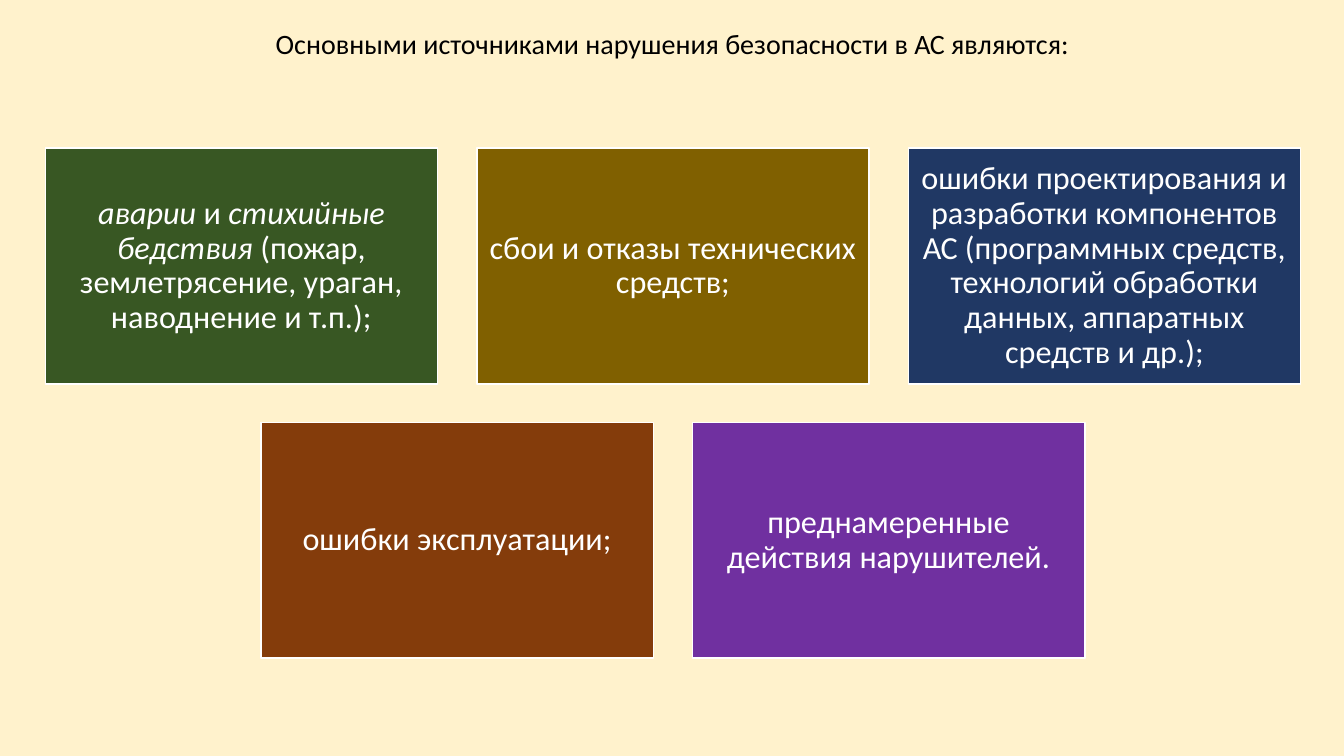
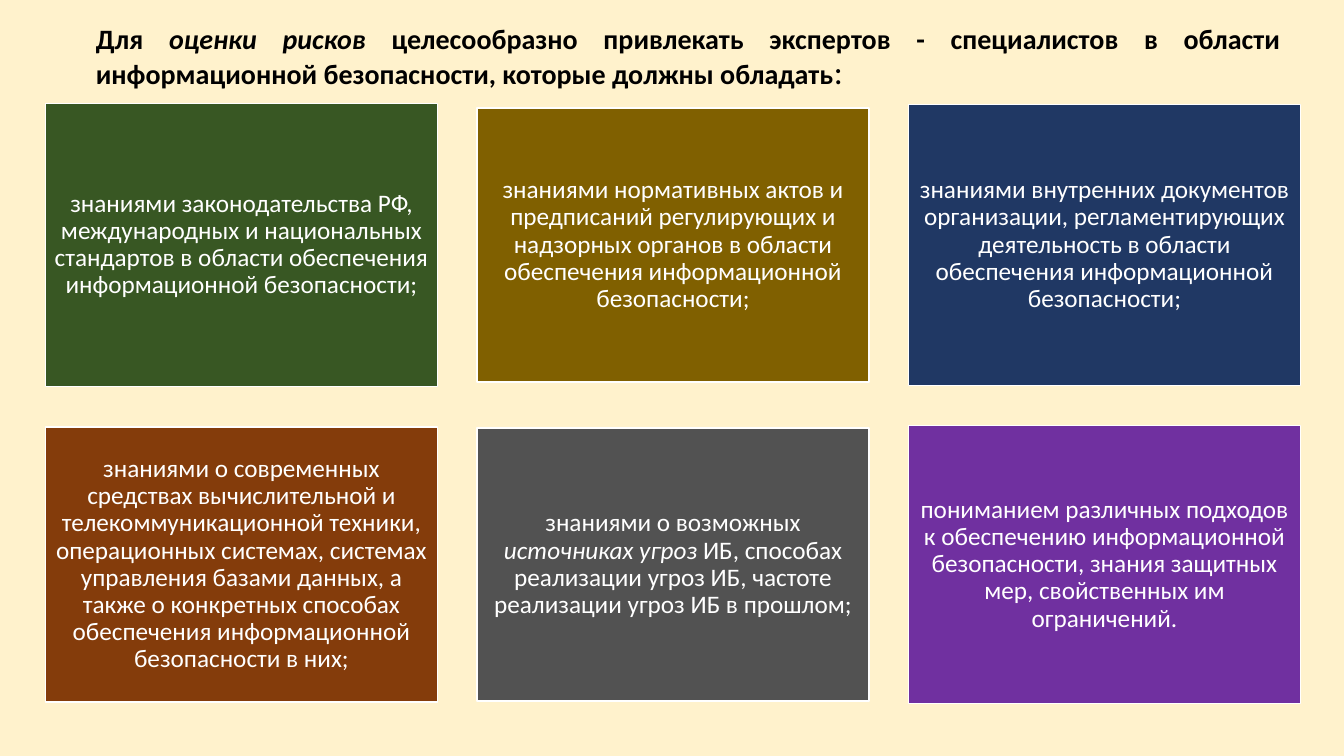
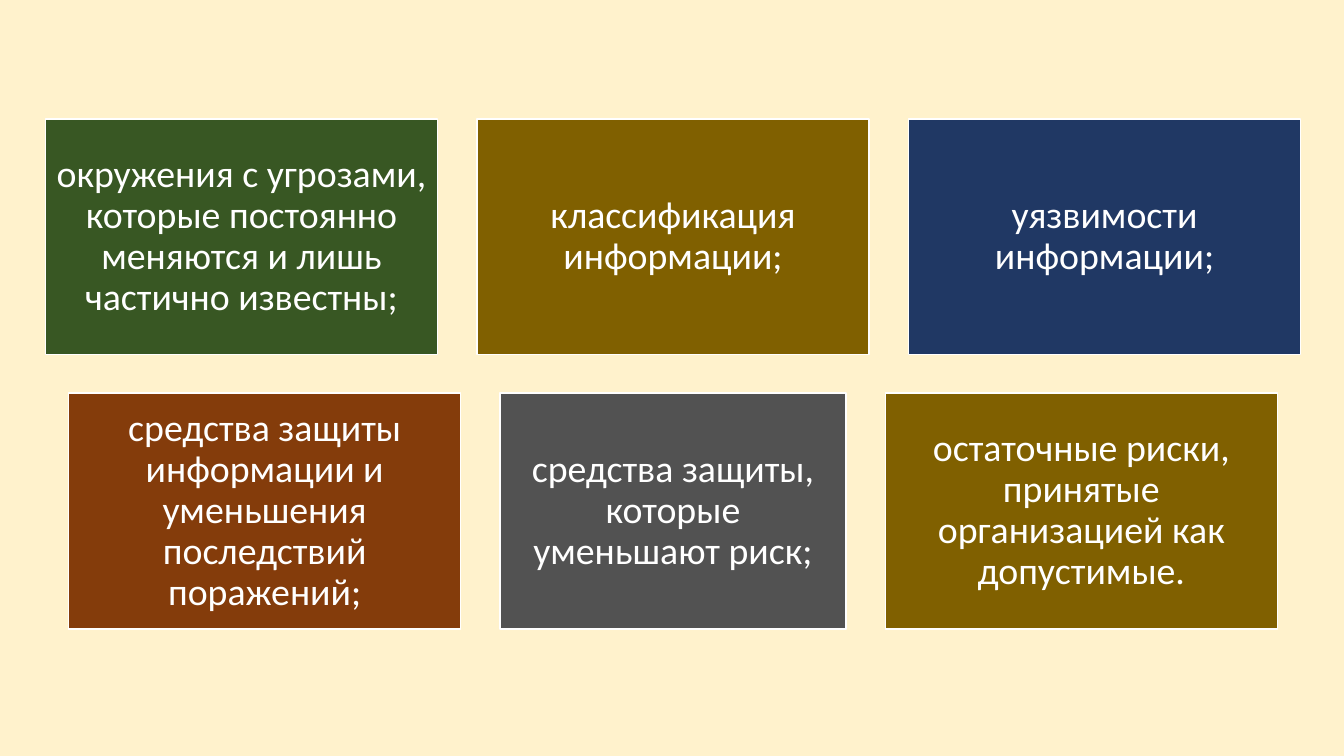
from dataclasses import dataclass
from typing import Any

from pptx import Presentation
from pptx.dml.color import RGBColor
from pptx.enum.shapes import MSO_SHAPE
from pptx.enum.text import MSO_ANCHOR, MSO_AUTO_SIZE, PP_ALIGN
from pptx.slide import Slide
from pptx.text.text import TextFrame
from pptx.util import Inches, Pt

COLORS = {
    "cream": "FFF2CC",
    "black": "000000",
    "white": "FFFFFF",
    "green": "385723",
    "olive": "806000",
    "navy": "203864",
    "brown": "843C0B",
    "gray": "525252",
    "purple": "7030A0",
}
FONT = "Calibri"
TITLE_SIZE = 20
TITLE_ONLY_LAYOUT, BLANK_LAYOUT = 5, 6
ROW_CENTER = 6.675
CARD_GAP = 0.39
FRAME_FORMAT = {
    "word_wrap": True,
    "auto_size": MSO_AUTO_SIZE.NONE,
    "vertical_anchor": MSO_ANCHOR.MIDDLE,
}
MARGINS = ("margin_left", "margin_top", "margin_right", "margin_bottom")


@dataclass(frozen=True)
class Run:
    text: str
    italic: bool = False
    bold: bool = False
    size: float | None = None


@dataclass(frozen=True)
class Title:
    runs: tuple[Run, ...]
    box: tuple[float, float, float, float]
    alignment: PP_ALIGN = PP_ALIGN.CENTER


@dataclass(frozen=True)
class Card:
    color: str
    runs: tuple[Run, ...]
    height: float = 2.34
    width: float = 3.89


@dataclass(frozen=True)
class Row:
    middle: float
    cards: tuple[Card, ...]


@dataclass(frozen=True)
class Page:
    text_size: float
    inset: float
    rows: tuple[Row, ...]
    title: Title | None = None


PAGES = (
    Page(
        title=Title(
            (Run("Основными источниками нарушения безопасности в АС являются:"),),
            (0.92, 0.18, 11.5, 0.55),
        ),
        text_size=23,
        inset=0.1,
        rows=(
            Row(2.64, (
                Card("green", (
                    Run("аварии", italic=True),
                    Run(" и "),
                    Run("стихийные бедствия", italic=True),
                    Run(" (пожар, землетрясение, ураган, наводнение и т.п.);"),
                )),
                Card("olive", (Run("сбои и отказы технических средств;"),)),
                Card("navy", (Run(
                    "ошибки проектирования и разработки компонентов АС "
                    "(программных средств, технологий обработки данных, "
                    "аппаратных средств и др.);"
                ),)),
            )),
            Row(5.36, (
                Card("brown", (Run("ошибки эксплуатации;"),)),
                Card("purple", (Run("преднамеренные действия нарушителей."),)),
            )),
        ),
    ),
    Page(
        title=Title(
            (
                Run("Для ", bold=True),
                Run("оценки рисков", italic=True, bold=True),
                Run(
                    " целесообразно привлекать экспертов - специалистов в области "
                    "информационной безопасности, которые должны обладать",
                    bold=True,
                ),
                Run(":", size=24),
            ),
            (0.85, 0.31, 11.95, 0.55),
            PP_ALIGN.JUSTIFY,
        ),
        text_size=18,
        inset=0.07,
        rows=(
            Row(2.43, (
                Card("green", (Run(
                    "знаниями законодательства РФ, международных и национальных "
                    "стандартов в области обеспечения информационной безопасности;"
                ),), 2.81),
                Card("olive", (Run(
                    "знаниями нормативных актов и предписаний регулирующих и надзорных "
                    "органов в области обеспечения информационной безопасности;"
                ),), 2.72),
                Card("navy", (Run(
                    "знаниями внутренних документов организации, регламентирующих "
                    "деятельность в области обеспечения информационной безопасности;"
                ),), 2.79),
            )),
            Row(5.6, (
                Card("brown", (Run(
                    "знаниями о современных средствах вычислительной и "
                    "телекоммуникационной техники, операционных системах, системах "
                    "управления базами данных, а также о конкретных способах "
                    "обеспечения информационной безопасности в них;"
                ),), 2.73),
                Card("gray", (
                    Run("знаниями о возможных "),
                    Run("источниках угроз", italic=True),
                    Run(
                        " ИБ, способах реализации угроз ИБ, "
                        "частоте реализации угроз ИБ в прошлом;"
                    ),
                ), 2.71),
                Card("purple", (Run(
                    "пониманием различных подходов к обеспечению информационной "
                    "безопасности, знания защитных мер, свойственных им ограничений."
                ),), 2.76),
            )),
        ),
    ),
    Page(
        text_size=27,
        inset=0.11,
        rows=(
            Row(2.35, (
                Card("green", (Run(
                    "окружения с угрозами, которые постоянно меняются "
                    "и лишь частично известны;"
                ),)),
                Card("olive", (Run("классификация информации;"),)),
                Card("navy", (Run("уязвимости информации;"),)),
            )),
            Row(5.07, (
                Card("brown", (Run(
                    "средства защиты информации и уменьшения последствий поражений;"
                ),)),
                Card("gray", (Run("средства защиты, которые уменьшают риск;"),), width=3.43),
                Card("olive", (Run(
                    "остаточные риски, принятые организацией как допустимые."
                ),)),
            )),
        ),
    ),
)


def color(name: str) -> RGBColor:
    return RGBColor.from_string(COLORS[name])


def apply_format(target: Any, values: dict[str, Any]) -> None:
    for name, value in values.items():
        setattr(target, name, value)


def write_runs(
    frame: TextFrame, runs: tuple[Run, ...], size: float, color_name: str, alignment: PP_ALIGN
) -> None:
    apply_format(frame, FRAME_FORMAT)
    paragraph = frame.paragraphs[0]
    apply_format(paragraph, {"alignment": alignment, "line_spacing": 0.9})
    for run in runs:
        text_run = paragraph.add_run()
        text_run.text = run.text
        apply_format(text_run.font, {
            "name": FONT,
            "size": Pt(run.size or size),
            "bold": run.bold,
            "italic": run.italic,
        })
        text_run.font.color.rgb = color(color_name)


def add_title(slide: Slide, title: Title) -> None:
    shape = slide.shapes.title
    edges = ("left", "top", "width", "height")
    apply_format(shape, dict(zip(edges, map(Inches, title.box))))
    write_runs(shape.text_frame, title.runs, TITLE_SIZE, "black", title.alignment)


def add_card(slide: Slide, card: Card, left: float, middle: float, page: Page) -> None:
    shape = slide.shapes.add_shape(
        MSO_SHAPE.RECTANGLE,
        Inches(left),
        Inches(middle - card.height / 2),
        Inches(card.width),
        Inches(card.height),
    )
    shape.shadow.inherit = False
    shape.fill.solid()
    shape.fill.fore_color.rgb = color(card.color)
    shape.line.color.rgb = color("white")
    shape.line.width = Pt(1)
    apply_format(shape.text_frame, dict.fromkeys(MARGINS, Inches(page.inset)))
    write_runs(shape.text_frame, card.runs, page.text_size, "white", PP_ALIGN.CENTER)


def add_row(slide: Slide, row: Row, page: Page) -> None:
    """Centre the cards as a group, with equal gaps between them."""
    total = sum(card.width for card in row.cards) + CARD_GAP * (len(row.cards) - 1)
    left = ROW_CENTER - total / 2
    for card in row.cards:
        add_card(slide, card, left, row.middle, page)
        left += card.width + CARD_GAP


def main() -> None:
    presentation = Presentation()
    presentation.slide_width = Inches(13.33)
    presentation.slide_height = Inches(7.5)
    background = presentation.slide_master.background.fill
    background.solid()
    background.fore_color.rgb = color("cream")
    for page in PAGES:
        layout = TITLE_ONLY_LAYOUT if page.title else BLANK_LAYOUT
        slide = presentation.slides.add_slide(presentation.slide_layouts[layout])
        if page.title:
            add_title(slide, page.title)
        for row in page.rows:
            add_row(slide, row, page)
    presentation.save("out.pptx")


if __name__ == "__main__":
    main()
